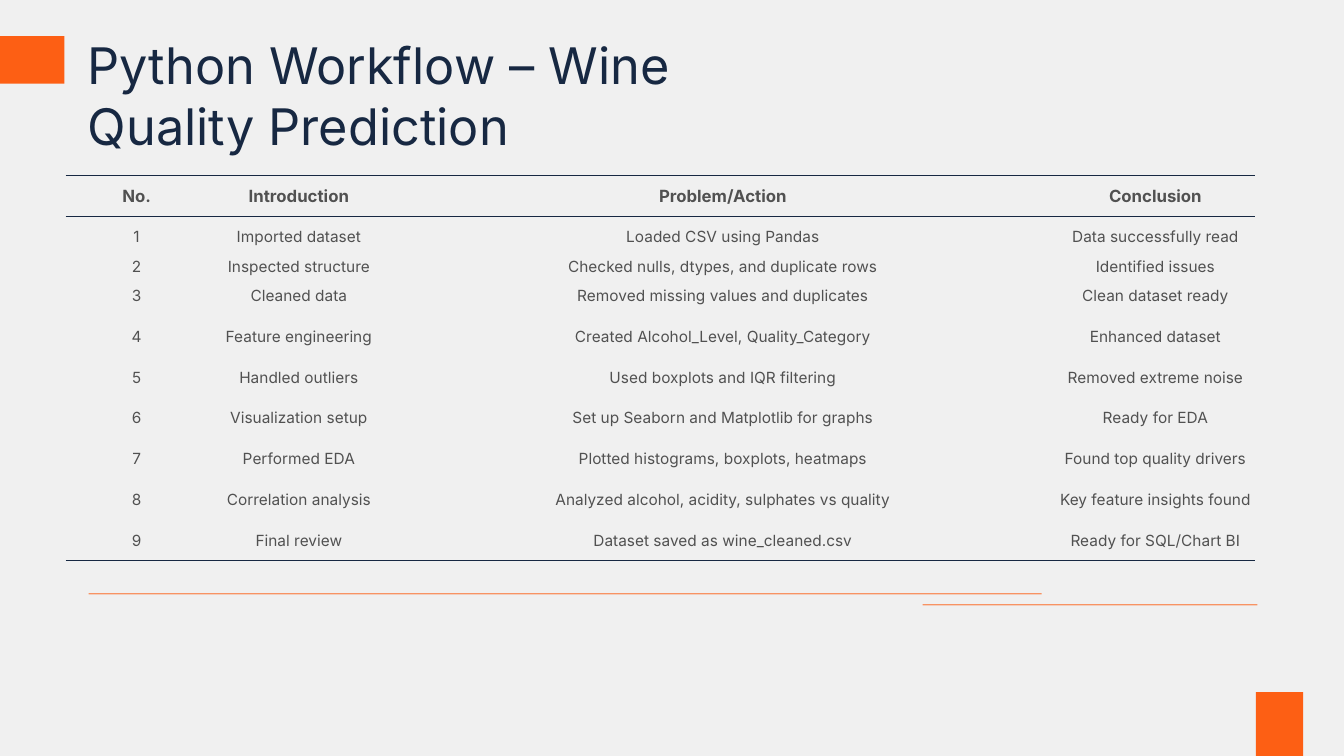
import pptx
import pptx.dml.color
import pptx.enum.shapes
import pptx.enum.text
import pptx.oxml
import pptx.oxml.ns
import pptx.util
from pptx.util import Inches

NAVY, ORANGE, GREY, PAPER = "172842", "FD5F14", "515151", "F0F0F0"
COLS = [1.41, 1.81, 6.6, 1.98]
STEPS = [
    ("No.", "Introduction", "Problem/Action", "Conclusion"),
    ("1", "Imported dataset", "Loaded CSV using Pandas", "Data successfully read"),
    ("2", "Inspected structure", "Checked nulls, dtypes, and duplicate rows", "Identified issues"),
    ("3", "Cleaned data", "Removed missing values and duplicates", "Clean dataset ready"),
    ("4", "Feature engineering", "Created Alcohol_Level, Quality_Category", "Enhanced dataset"),
    ("5", "Handled outliers", "Used boxplots and IQR filtering", "Removed extreme noise"),
    ("6", "Visualization setup", "Set up Seaborn and Matplotlib for graphs", "Ready for EDA"),
    ("7", "Performed EDA", "Plotted histograms, boxplots, heatmaps", "Found top quality drivers"),
    ("8", "Correlation analysis", "Analyzed alcohol, acidity, sulphates vs quality", "Key feature insights found"),
    ("9", "Final review", "Dataset saved as wine_cleaned.csv", "Ready for SQL/Chart BI"),
]


def tint(code):
    return pptx.dml.color.RGBColor.from_string(code)


class Deck:
    """Hold the style and the current slide, and draw each kind of element."""

    face = "Inter"

    def __init__(self):
        self.show = pptx.Presentation()
        self.show.slide_width = Inches(13.33)
        self.show.slide_height = Inches(7.5)
        self.slide = self.show.slides.add_slide(self.show.slide_layouts[5])
        self.slide.background.fill.solid()
        self.slide.background.fill.fore_color.rgb = tint(PAPER)

    def style(self, para, size, color, align, bold=False):
        para.alignment = align
        for run in para.runs:
            run.font.name = self.face
            run.font.size = pptx.util.Pt(size)
            run.font.bold = bold
            run.font.color.rgb = tint(color)

    def title(self, text, left, top, width, height):
        box = self.slide.shapes.title
        box.left, box.top = Inches(left), Inches(top)
        box.width, box.height = Inches(width), Inches(height)
        frame = box.text_frame
        frame.text = text
        frame.word_wrap = True
        frame.auto_size = pptx.enum.text.MSO_AUTO_SIZE.SHAPE_TO_FIT_TEXT
        frame.vertical_anchor = pptx.enum.text.MSO_ANCHOR.TOP
        self.style(frame.paragraphs[0], 36, NAVY, pptx.enum.text.PP_ALIGN.LEFT)

    def block(self, left, top, turn=0):
        kind = pptx.enum.shapes.MSO_SHAPE.RECTANGLE
        shape = self.slide.shapes.add_shape(
            kind, Inches(left), Inches(top), Inches(0.64), Inches(0.47))
        shape.rotation = turn
        shape.shadow.inherit = False
        shape.fill.solid()
        shape.fill.fore_color.rgb = tint(ORANGE)
        shape.line.fill.background()

    def rule(self, start, end, top):
        kind = pptx.enum.shapes.MSO_CONNECTOR.STRAIGHT
        line = self.slide.shapes.add_connector(
            kind, Inches(start), Inches(top), Inches(end), Inches(top))
        line.line.width = pptx.util.Pt(1)
        line.line.color.rgb = tint(ORANGE)
        props = line._element.spPr
        color = props.find(".//" + pptx.oxml.ns.qn("a:srgbClr"))
        self.child(color, '<a:alpha %s val="63000"/>')
        self.child(props, "<a:effectLst %s/>")

    def child(self, parent, text):
        parent.append(pptx.oxml.parse_xml(text % pptx.oxml.ns.nsdecls("a")))

    def edge(self, cell, side, drawn):
        paint = "<a:noFill/>"
        if drawn:
            paint = f'<a:solidFill><a:srgbClr val="{NAVY}"/></a:solidFill>'
        self.child(cell._tc.get_or_add_tcPr(),
                   f'<a:ln{side} %s w="12700">{paint}</a:ln{side}>')

    def cell(self, cell, text, head, sides):
        cell.margin_left = cell.margin_right = 0
        cell.margin_top = cell.margin_bottom = 0
        cell.vertical_anchor = pptx.enum.text.MSO_ANCHOR.MIDDLE
        cell.text_frame.text = text
        self.style(cell.text_frame.paragraphs[0], 12 if head else 11, GREY,
                   pptx.enum.text.PP_ALIGN.CENTER, head)
        for side in "LRTB":
            self.edge(cell, side, side in sides)
        cell.fill.background()

    def table(self, rows, cols, left, top):
        last = len(rows) - 1
        highs = [0.4 if i % 2 else 0.41 for i in range(len(rows))]
        highs[2] = 0.18
        grid = self.slide.shapes.add_table(
            len(rows), len(cols), Inches(left), Inches(top),
            Inches(sum(cols)), Inches(sum(highs))).table
        grid.first_row = grid.horz_banding = False
        look = grid._tbl.tblPr.find(pptx.oxml.ns.qn("a:tableStyleId"))
        look.text = "{2D5ABB26-0587-4C30-8999-92F81FD0307C}"
        for col, width in zip(grid.columns, cols):
            col.width = Inches(width)
        sides = {0: "TB", 1: "T", last: "B"}
        for i, row in enumerate(rows):
            grid.rows[i].height = Inches(highs[i])
            for j, text in enumerate(row):
                self.cell(grid.cell(i, j), text, i == 0, sides.get(i, ""))


def main():
    deck = Deck()
    deck.title("Python Workflow – Wine Quality Prediction", 0.77, 0.29, 6.42, 1.31)
    deck.block(0, 0.36)
    deck.block(12.37, 6.95, 270)
    deck.table(STEPS, COLS, 0.65, 1.74)
    deck.rule(10.33, 0.88, 5.89)
    deck.rule(12.47, 9.15, 6)
    deck.show.save("out.pptx")


if __name__ == "__main__":
    main()
